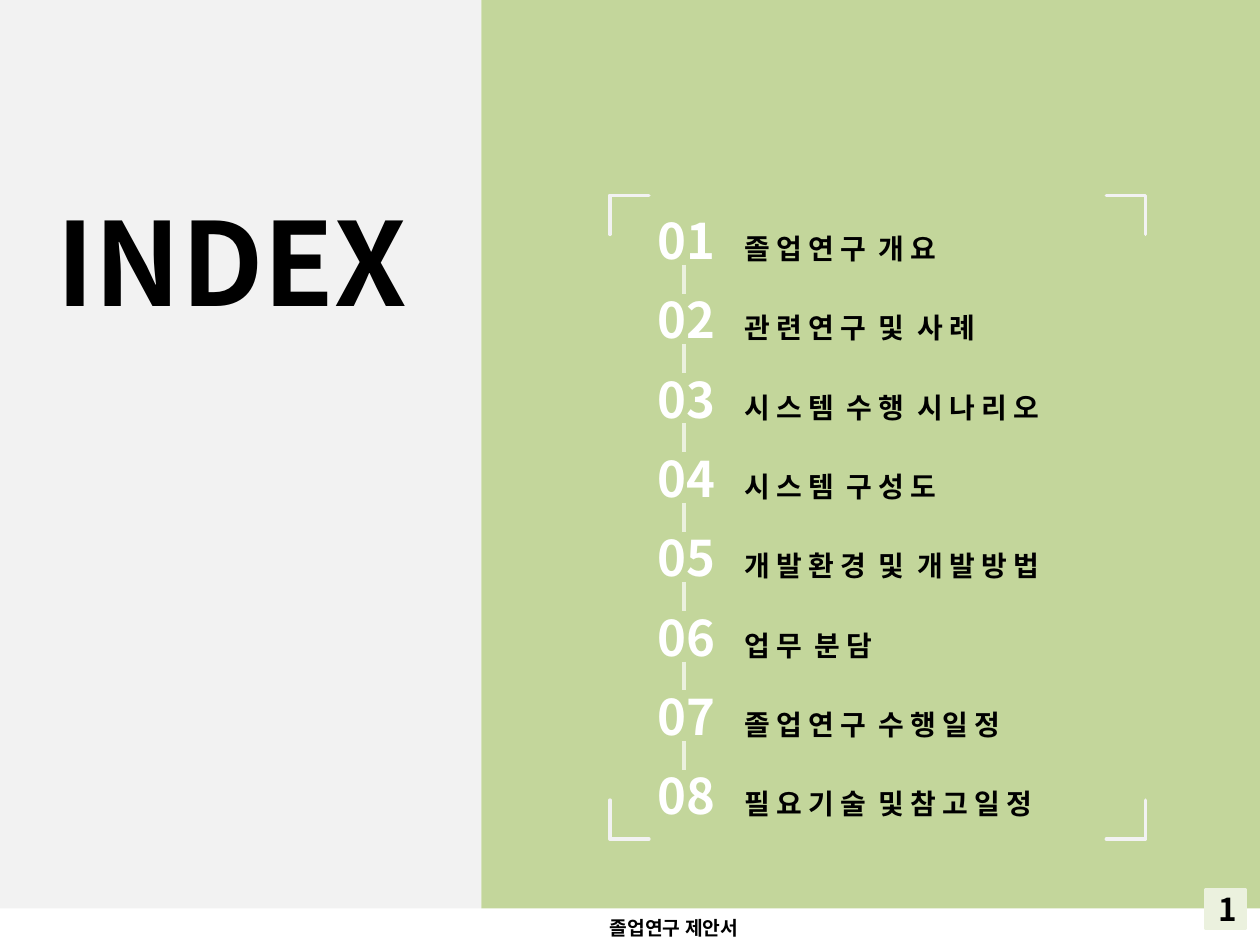
import pptx
import pptx.util
import pptx.dml.color
import pptx.enum.shapes
import pptx.enum.text
import pptx.oxml.ns
from lxml import etree

Inches = pptx.util.Inches
Pt = pptx.util.Pt
RGBColor = pptx.dml.color.RGBColor
MSO_SHAPE = pptx.enum.shapes.MSO_SHAPE
PP_ALIGN = pptx.enum.text.PP_ALIGN
MSO_ANCHOR = pptx.enum.text.MSO_ANCHOR
MSO_AUTO_SIZE = pptx.enum.text.MSO_AUTO_SIZE
qn = pptx.oxml.ns.qn

BLACK = RGBColor(0x00, 0x00, 0x00)
WHITE = RGBColor(0xFF, 0xFF, 0xFF)
GRAY = RGBColor(0xF2, 0xF2, 0xF2)
GREEN = RGBColor(0xC3, 0xD6, 0x9B)
PALE_GREEN = RGBColor(0xEB, 0xF1, 0xDE)

FONT = "Noto Sans CJK KR"
ITEMS = [
    "졸 업 연 구  개 요",
    "관 련 연 구  및  사 례",
    "시 스 템  수 행  시 나 리 오",
    "시 스 템  구 성 도",
    "개 발 환 경  및  개 발 방 법",
    "업 무  분 담",
    "졸 업 연 구  수 행 일 정",
    "필 요 기 술  및 참 고 일 정",
]


def add_run(p, text, size, color=BLACK, font=FONT):
    r = p.add_run()
    r.text = text
    for name, value in {"size": Pt(size), "bold": True, "name": font}.items():
        setattr(r.font, name, value)
    r.font.color.rgb = color
    etree.SubElement(r.font._element, qn("a:ea"), typeface=FONT)


def add_text_box(slide, x, y, w, h, wrap=False):
    """Add a text box that grows with its text; return its first paragraph."""
    tf = slide.shapes.add_textbox(Inches(x), Inches(y), Inches(w), Inches(h)).text_frame
    tf.word_wrap = wrap
    tf.auto_size = MSO_AUTO_SIZE.SHAPE_TO_FIT_TEXT
    return tf.paragraphs[0]


def add_shape(slide, kind, x, y, w, h, fill=None, line=None):
    sp = slide.shapes.add_shape(kind, Inches(x), Inches(y), Inches(w), Inches(h))
    sp.shadow.inherit = False
    if fill is None:
        sp.fill.background()
    else:
        sp.fill.solid()
        sp.fill.fore_color.rgb = fill
    if line is None:
        sp.line.fill.background()
    else:
        sp.line.color.rgb = line
        sp.line.width = Pt(2)
    return sp


def add_title_panel(slide, x, y, w, h):
    add_shape(slide, MSO_SHAPE.RECTANGLE, x, y, w, h, GRAY)
    p = add_text_box(slide, x + 0.35, y + 1.47, 3.04, 1.21)
    add_run(p, "INDEX", 66)


def add_index_item(slide, x, y, number, label):
    p = add_text_box(slide, x, y, 3.9, 0.57, wrap=True)
    tabs = etree.SubElement(p._p.get_or_add_pPr(), qn("a:tabLst"))
    etree.SubElement(tabs, qn("a:tab"), pos=str(Inches(0.69)), algn="l")
    add_run(p, f"{number:02d}\t", 28, WHITE)
    add_run(p, label, 16)


def add_link(slide, x, y, length):
    """Add the short vertical line between two item numbers."""
    line = slide.shapes.add_connector(
        pptx.enum.shapes.MSO_CONNECTOR.STRAIGHT,
        Inches(x), Inches(y), Inches(x), Inches(y + length))
    line.line.color.rgb = PALE_GREEN
    line.line.width = Pt(2.25)
    etree.SubElement(line._element.spPr, qn("a:effectLst"))


def add_corners(slide, x, y, w, h, size=0.31):
    """Mark the four corners of the box with thin brackets."""
    right, bottom = x + w - size, y + h - size
    for left, top, angle in [(x, y, 0), (right, y, 90),
                             (x, bottom, 270), (right, bottom, 180)]:
        sp = add_shape(slide, MSO_SHAPE.HALF_FRAME, left, top, size, size, line=GRAY)
        sp.rotation = angle
        for i in range(2):
            sp.adjustments[i] = 0


def add_index_panel(slide, x, y, w, h, pitch=0.63):
    add_shape(slide, MSO_SHAPE.RECTANGLE, x, y, w, h, GREEN)
    item_x, item_y = x + 1.3, y + 1.62
    for i, label in enumerate(ITEMS):
        top = item_y + i * pitch
        add_index_item(slide, item_x, top, i + 1, label)
        if i < len(ITEMS) - 1:
            add_link(slide, item_x + 0.31, top + 0.48, 0.23)
    add_corners(slide, x + 1.02, y + 1.55, 4.25, 5.11)


def add_footer(slide, x, y):
    p = add_text_box(slide, x, y, 1.44, 0.29)
    add_run(p, "졸업연구 제안서", 11, font="Arial")


def add_page_number(slide, x, y, size):
    sp = add_shape(slide, MSO_SHAPE.RECTANGLE, x, y, size, size, PALE_GREEN, PALE_GREEN)
    tf = sp.text_frame
    tf.vertical_anchor = MSO_ANCHOR.MIDDLE
    p = tf.paragraphs[0]
    p.alignment = PP_ALIGN.CENTER
    add_run(p, "1", 18)


def main():
    prs = pptx.Presentation()
    prs.slide_width, prs.slide_height = Inches(10), Inches(7.5)
    slide = prs.slides.add_slide(prs.slide_layouts[6])
    add_title_panel(slide, 0, 0, 3.82, 7.21)
    add_index_panel(slide, 3.82, 0, 6.18, 7.21)
    add_page_number(slide, 9.57, 7.06, 0.31)
    add_footer(slide, 4.74, 7.22)
    prs.save("out.pptx")


if __name__ == "__main__":
    main()
